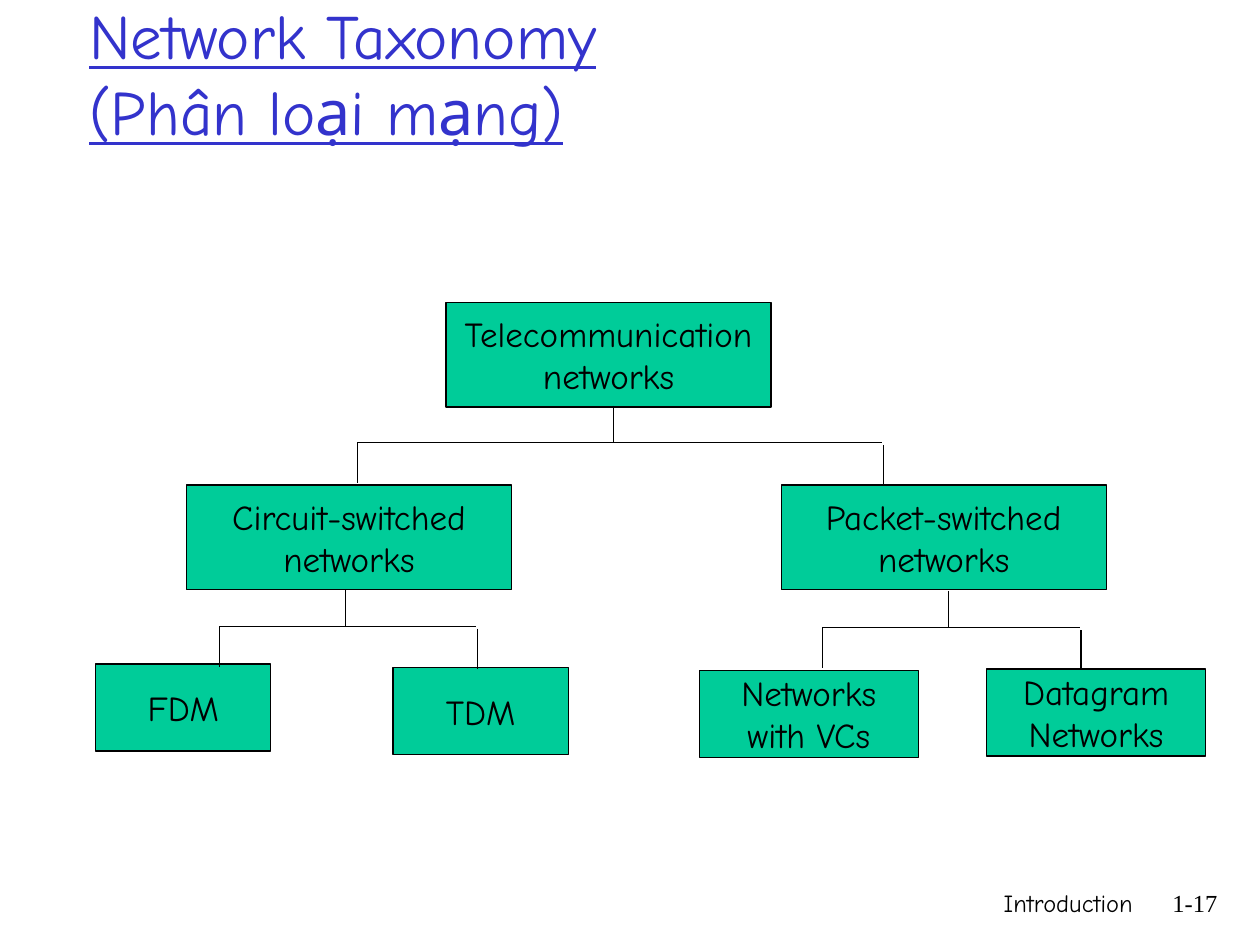
import pptx
import pptx.util
import pptx.dml.color
import pptx.enum.shapes
import pptx.enum.text
import pptx.oxml.ns
import lxml.etree

COLORS = {"ink": "000000", "title": "3333CC", "box": "00CC99"}
FONTS = {"body": "Comic Neue", "number": "Times New Roman"}
ALIGN = pptx.enum.text.PP_ALIGN
ANCHOR = pptx.enum.text.MSO_ANCHOR
COLS, ROWS = 100, 75


def rgb(name):
    return pptx.dml.color.RGBColor.from_string(COLORS[name])


def write(tf, text, size=20, font="body", color="ink", underline=None,
          align=ALIGN.CENTER, anchor=ANCHOR.MIDDLE, wrap=False):
    tf.word_wrap = wrap
    tf.vertical_anchor = anchor
    for i, line in enumerate(text.split("\n")):
        p = tf.paragraphs[0] if i == 0 else tf.add_paragraph()
        p.text = line
        p.alignment = align
        for r in p.runs:
            r.font.size = pptx.util.Pt(size)
            r.font.name = FONTS[font]
            r.font.underline = underline
            r.font.color.rgb = rgb(color)


class Deck:
    line_width = pptx.util.Pt(0.75)

    def __init__(self):
        self.prs = pptx.Presentation()
        self.prs.slide_width = pptx.util.Inches(10)
        self.prs.slide_height = pptx.util.Inches(7.5)
        self.s = self.prs.slides.add_slide(self.prs.slide_layouts[6])

    def place(self, col, row):
        return (round(self.prs.slide_width * col / COLS),
                round(self.prs.slide_height * row / ROWS))

    def text(self, at, extent, text, **fmt):
        sp = self.s.shapes.add_textbox(*self.place(*at), *self.place(*extent))
        write(sp.text_frame, text, wrap=True, **fmt)

    def box(self, at, extent, text):
        sp = self.s.shapes.add_shape(pptx.enum.shapes.MSO_SHAPE.RECTANGLE,
                                     *self.place(*at), *self.place(*extent))
        sp.shadow.inherit = False
        sp.fill.solid()
        sp.fill.fore_color.rgb = rgb("box")
        sp.line.color.rgb = rgb("ink")
        sp.line.width = self.line_width
        write(sp.text_frame, text)

    def line(self, start, end):
        c = self.s.shapes.add_connector(pptx.enum.shapes.MSO_CONNECTOR.STRAIGHT,
                                        *self.place(*start), *self.place(*end))
        c.line.color.rgb = rgb("ink")
        c.line.width = self.line_width
        lxml.etree.SubElement(c._element.spPr, pptx.oxml.ns.qn("a:effectLst"))

    def branch(self, left, right, stem, rail):
        self.line((left, rail), (right - 0.1, rail))
        self.line((right, rail + 0.2), (right, rail + 3.4))
        self.line((left, rail), (left, rail + 3.2))
        self.line((stem, rail - 2.9), (stem, rail))


def main():
    deck = Deck()
    footer = {"size": 14, "align": ALIGN.RIGHT, "anchor": ANCHOR.TOP}
    deck.text((59.2, 70), (31.7, 5), "Introduction", **footer)
    deck.text((90.8, 70), (6.8, 5), "1-17", font="number", **footer)
    deck.text((6.1, 0.3), (85, 10.9), "Network Taxonomy\v(Phân loại mạng)",
              size=36, color="title", underline=True, align=ALIGN.LEFT)

    wide, small, medium = (25.8, 8.3), (13.9, 6.9), (17.4, 6.9)
    for at, extent, text in [
        ((35.4, 24), wide, "Telecommunication\nnetworks"),
        ((14.8, 38.5), wide, "Circuit-switched\nnetworks"),
        ((62, 38.5), wide, "Packet-switched\nnetworks"),
        ((7.6, 52.7), small, "FDM"),
        ((31.2, 53), small, "TDM"),
        ((55.5, 53.2), medium, "Networks\nwith VCs"),
        ((78.3, 53.1), medium, "Datagram\nNetworks"),
    ]:
        deck.box(at, extent, text)

    deck.branch(28.4, 70.1, 48.7, 35.1)
    deck.branch(17.4, 37.9, 27.4, 49.7)
    deck.branch(65.3, 85.8, 75.3, 49.8)
    deck.prs.save("out.pptx")


if __name__ == "__main__":
    main()
